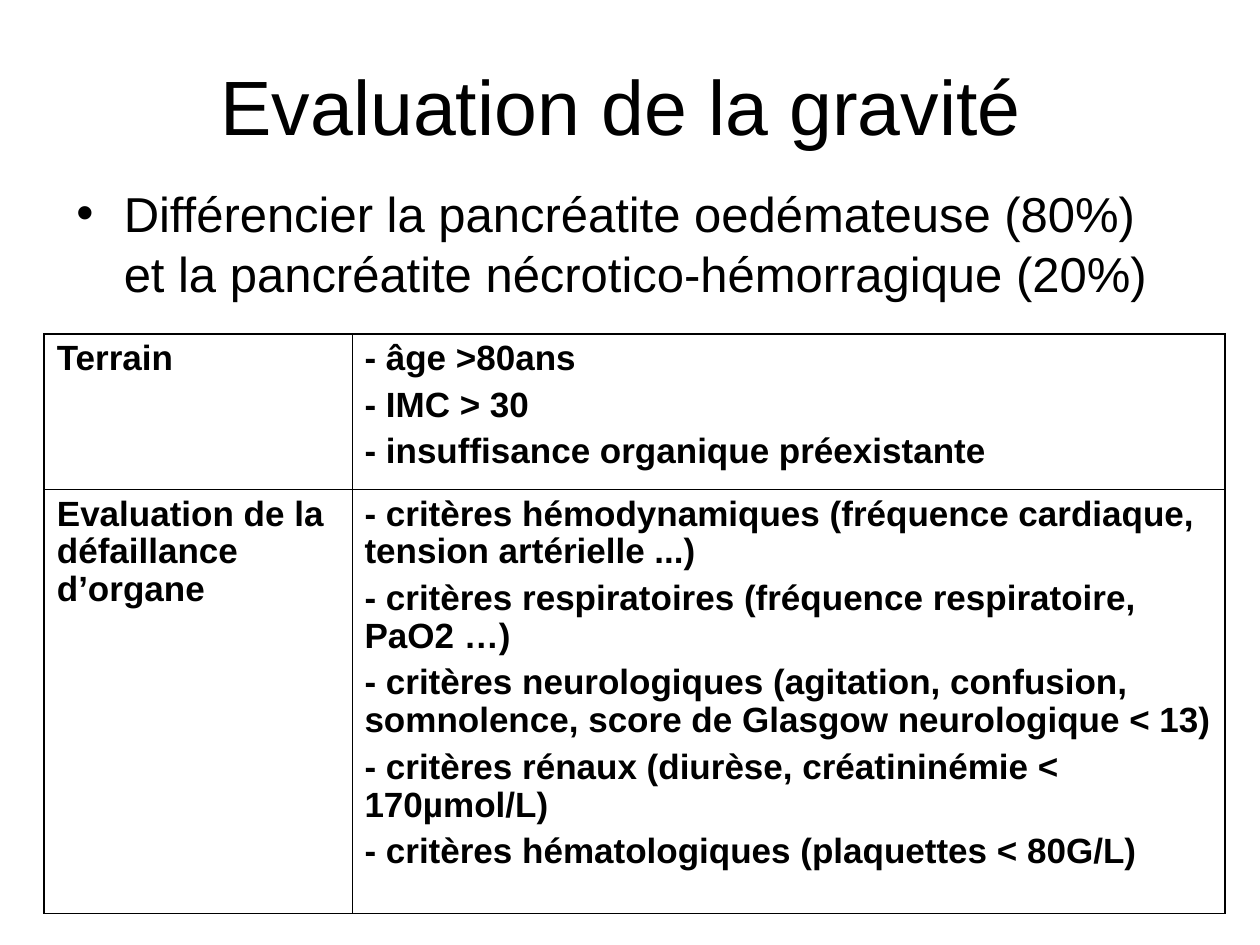
import lxml.etree
import pptx
import pptx.dml.color
import pptx.enum.text
import pptx.oxml.ns
import pptx.util

Pt = pptx.util.Pt
qn = pptx.oxml.ns.qn

# Content
HEADING = "Evaluation de la gravité"
STATEMENT = ("Différencier la pancréatite oedémateuse (80%) "
             "et la pancréatite nécrotico-hémorragique (20%)")
CRITERIA = [
    (["Terrain"],
     ["- âge >80ans", "- IMC > 30", "- insuffisance organique préexistante"]),
    (["Evaluation de la défaillance d’organe"],
     ["- critères hémodynamiques (fréquence cardiaque, tension artérielle ...)",
      "- critères respiratoires (fréquence respiratoire, PaO2 …)",
      "- critères neurologiques (agitation, confusion, somnolence, "
      "score de Glasgow neurologique < 13)",
      "- critères rénaux (diurèse, créatininémie < 170µmol/L)",
      "- critères hématologiques (plaquettes < 80G/L)"]),
]

# Look and layout, in points
COLORS = {"ink": "000000"}
FONT = "Arial"
SLIDE = (720, 540)
HEADING_BOX = (31, 15, 648, 90)
STATEMENT_BOX = (36.5, 100, 647.5, 93)
TABLE_ORIGIN = (25.3, 190.9)
COLUMNS = (175.8, 499)
ROWS = (88.8, 242.4)
OUTER, INNER = 1.08, 0.45
INDENT = 27


def points(values):
    return [Pt(value) for value in values]


def write(paragraph, text, size, bold=False):
    run = paragraph.add_run()
    run.text = text
    run.font.name = FONT
    run.font.size = Pt(size)
    run.font.bold = bold
    run.font.color.rgb = pptx.dml.color.RGBColor.from_string(COLORS["ink"])


def place(placeholder, box):
    (placeholder.left, placeholder.top,
     placeholder.width, placeholder.height) = points(box)
    frame = placeholder.text_frame
    frame.word_wrap = True
    frame.auto_size = pptx.enum.text.MSO_AUTO_SIZE.NONE
    return frame


def add_bullet(paragraph):
    props = paragraph._p.get_or_add_pPr()
    props.set("marL", str(Pt(INDENT)))
    props.set("indent", str(-Pt(INDENT)))
    color = lxml.etree.SubElement(props, qn("a:buClr"))
    lxml.etree.SubElement(color, qn("a:srgbClr"), val=COLORS["ink"])
    lxml.etree.SubElement(props, qn("a:buFont"), typeface=FONT)
    lxml.etree.SubElement(props, qn("a:buChar"), char="•")


def set_borders(cell, widths):
    props = cell._tc.get_or_add_tcPr()
    for side, width in widths.items():
        line = lxml.etree.SubElement(props, qn("a:ln" + side), w=str(Pt(width)))
        fill = lxml.etree.SubElement(line, qn("a:solidFill"))
        lxml.etree.SubElement(fill, qn("a:srgbClr"), val=COLORS["ink"])


def fill_cell(cell, lines):
    for index, line in enumerate(lines):
        frame = cell.text_frame
        paragraph = frame.add_paragraph() if index else frame.paragraphs[0]
        paragraph.space_before = Pt(5 if index else 0)
        paragraph.line_spacing = 0.97
        write(paragraph, line, 20, bold=True)


def main():
    deck = pptx.Presentation()
    deck.slide_width, deck.slide_height = points(SLIDE)
    slide = deck.slides.add_slide(deck.slide_layouts[1])

    # Title
    heading = place(slide.shapes.title, HEADING_BOX)
    heading.vertical_anchor = pptx.enum.text.MSO_ANCHOR.MIDDLE
    heading.paragraphs[0].alignment = pptx.enum.text.PP_ALIGN.CENTER
    write(heading.paragraphs[0], HEADING, 44)

    # Bulleted statement
    statement = place(slide.placeholders[1], STATEMENT_BOX).paragraphs[0]
    statement.space_before = Pt(0)
    statement.line_spacing = 1.03
    add_bullet(statement)
    write(statement, STATEMENT, 28)

    # Severity criteria
    table = slide.shapes.add_table(
        len(ROWS), len(COLUMNS), *points(TABLE_ORIGIN),
        Pt(sum(COLUMNS)), Pt(sum(ROWS))).table
    table.first_row = table.horz_banding = False
    for column, width in zip(table.columns, COLUMNS):
        column.width = Pt(width)
    last_row, last_column = len(ROWS) - 1, len(COLUMNS) - 1
    for r, criteria in enumerate(CRITERIA):
        table.rows[r].height = Pt(ROWS[r])
        for c, lines in enumerate(criteria):
            cell = table.cell(r, c)
            fill_cell(cell, lines)
            set_borders(cell, {
                "L": INNER if c else OUTER,
                "R": OUTER if c == last_column else INNER,
                "T": INNER if r else OUTER,
                "B": OUTER if r == last_row else INNER,
            })
            cell.fill.background()

    deck.save("out.pptx")


if __name__ == "__main__":
    main()
